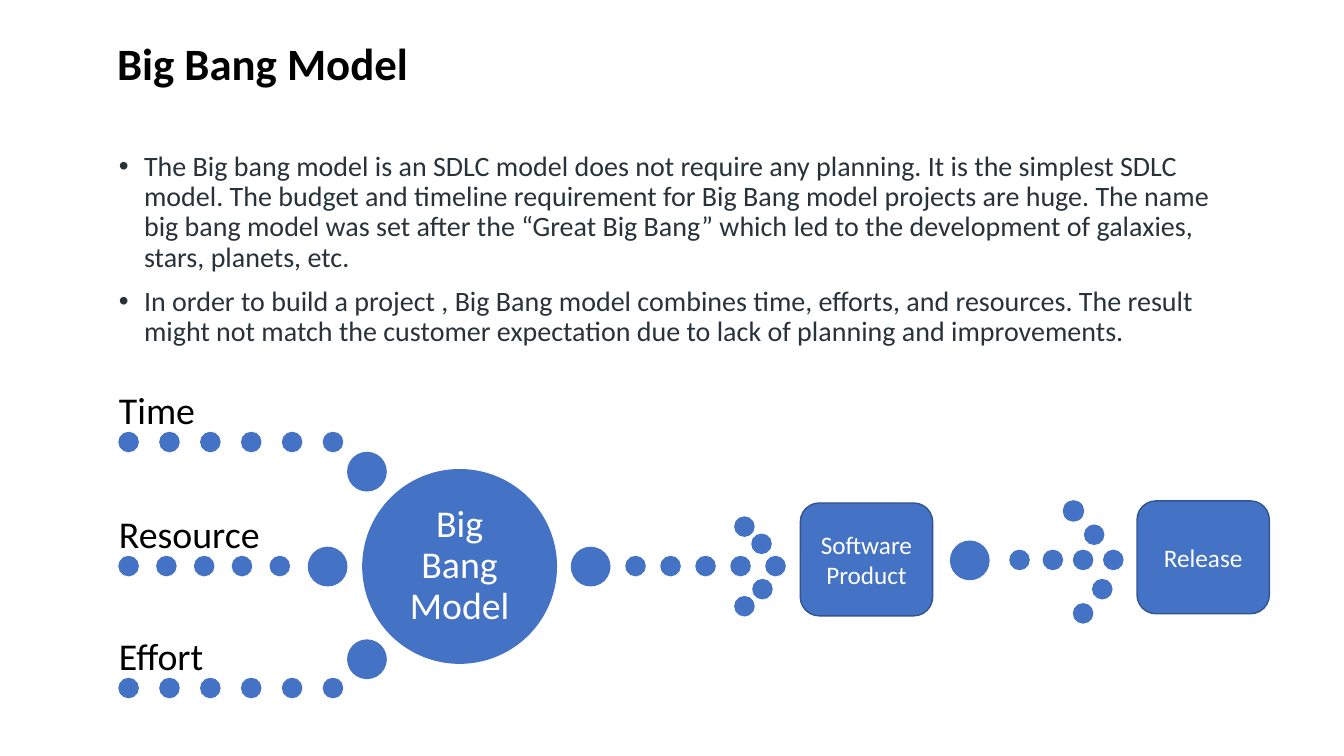
"""Build the Big Bang Model slide."""
from lxml import etree
from pptx import Presentation
from pptx.dml.color import RGBColor
from pptx.enum.shapes import MSO_SHAPE
from pptx.enum.text import MSO_ANCHOR, PP_ALIGN
from pptx.oxml.ns import qn
from pptx.util import Pt

OVAL = MSO_SHAPE.OVAL
ROUNDED = MSO_SHAPE.ROUNDED_RECTANGLE
TOP, MIDDLE, BOTTOM = MSO_ANCHOR.TOP, MSO_ANCHOR.MIDDLE, MSO_ANCHOR.BOTTOM
LEFT, CENTER = PP_ALIGN.LEFT, PP_ALIGN.CENTER

BODY = [
    "The Big bang model is an SDLC model does not require any planning. "
    "It is the simplest SDLC model. The budget and timeline requirement for "
    "Big Bang model projects are huge. The name big bang model was set after "
    "the “Great Big Bang” which led to the development of galaxies, stars, "
    "planets, etc.",
    "In order to build a project , Big Bang model combines time, efforts, and "
    "resources. The result might not match the customer expectation due to "
    "lack of planning and improvements.",
]
INPUTS = [
    ("Time", 308.9, 6, 29.2, (248.4, 323.2)),
    ("Resource", 397.5, 5, 27, (220.3, 391)),
    ("Effort", 484.6, 6, 29.2, (248.4, 457.2)),
]
PRODUCT_ARROWHEAD = [(524.9, 369.3), (537.1, 381.6), (537.8, 414), (524.9, 426.2)]
RELEASE_ARROWHEAD = [(774.7, 375.1), (780.5, 414), (766.8, 431.3)]
RELEASE_DOTS = [721.4, 745.2, 766.8, 788.4]


def color(value):
    return RGBColor.from_string(value)


class SlideBuilder:
    font = "Calibri"
    blue = "4472C4"
    outline = "325491"
    white = "FFFFFF"
    black = "000000"
    dot_size = 13.7
    big_dot_size = 27.4

    def __init__(self, slide):
        self.slide = slide

    def fill_text(self, shape, texts, size, text_color, anchor=MIDDLE, align=LEFT,
                  spacing=1.0, inset=None, bold=False, bullets=False):
        frame = shape.text_frame
        frame.word_wrap = True
        frame.vertical_anchor = anchor
        if inset is not None:
            frame.margin_left = frame.margin_right = Pt(inset)
            frame.margin_top = frame.margin_bottom = Pt(inset)
        for index, text in enumerate(texts):
            paragraph = frame.add_paragraph() if index else frame.paragraphs[0]
            paragraph.alignment = align
            paragraph.line_spacing = spacing
            if index:
                paragraph.space_before = Pt(10)
            if bullets:
                self.bullet(paragraph)
            run = paragraph.add_run()
            run.text = text
            run.font.name = self.font
            run.font.size = Pt(size)
            run.font.bold = bold
            run.font.color.rgb = color(text_color)

    def bullet(self, paragraph):
        properties = paragraph._p.get_or_add_pPr()
        properties.set("marL", str(Pt(18)))
        properties.set("indent", str(Pt(-18)))
        etree.SubElement(properties, qn("a:buFont")).set("typeface", "Arial")
        etree.SubElement(properties, qn("a:buChar")).set("char", "•")

    def text(self, left, top, width, height, texts, size, text_color, **style):
        box = self.slide.shapes.add_textbox(Pt(left), Pt(top), Pt(width), Pt(height))
        self.fill_text(box, texts, size, text_color, **style)

    def shape(self, kind, left, top, width, height, line):
        shape = self.slide.shapes.add_shape(
            kind, Pt(left), Pt(top), Pt(width), Pt(height))
        shape.shadow.inherit = False
        shape.fill.solid()
        shape.fill.fore_color.rgb = color(self.blue)
        shape.line.color.rgb = color(line)
        shape.line.width = Pt(1)
        return shape

    def dot(self, left, top, size=dot_size):
        self.shape(OVAL, left, top, size, size, self.blue)

    def big_dot(self, left, top):
        self.dot(left, top, self.big_dot_size)

    def dot_row(self, left, top, count, step):
        for index in range(count):
            self.dot(left + index * step, top)

    def hub(self, left, top, size, label):
        circle = self.shape(OVAL, left, top, size, size, self.blue)
        self.fill_text(circle, [label], 27, self.white, align=CENTER,
                       spacing=0.9, inset=3)

    def card(self, left, top, label):
        card = self.shape(ROUNDED, left, top, 94.5, 80.6, self.outline)
        self.fill_text(card, [label], 18, self.white, align=CENTER)


def main():
    presentation = Presentation()
    presentation.slide_width = Pt(960)
    presentation.slide_height = Pt(540)
    builder = SlideBuilder(presentation.slides.add_slide(presentation.slide_layouts[6]))

    builder.text(76.5, 13.7, 805.7, 66.2, ["Big Bang Model"], 32, builder.black,
                 spacing=0.9, bold=True)
    builder.text(77.8, 105.1, 810, 400.3, BODY, 20, "273239", anchor=TOP,
                 spacing=0.9, bullets=True)

    for label, top, count, step, big_dot in INPUTS:
        builder.text(85, top - 35.2, 160, 35.2, [label], 27, builder.black,
                     anchor=BOTTOM, spacing=0.9, inset=0)
        builder.dot_row(85, top, count, step)
        builder.big_dot(*big_dot)

    builder.hub(259.2, 335.5, 138.2, "Big Bang Model")

    builder.big_dot(408.2, 391)
    builder.dot_row(447.1, 397.5, 5, 25)
    for left, top in PRODUCT_ARROWHEAD:
        builder.dot(left, top)
    builder.card(571.7, 359.3, "Software Product")

    builder.big_dot(679, 386.6)
    for left in RELEASE_DOTS:
        builder.dot(left, 393.1)
    for left, top in RELEASE_ARROWHEAD:
        builder.dot(left, top)
    builder.dot(759.6, 357.8, 14.4)
    builder.card(812.2, 357.8, "Release")

    presentation.save("out.pptx")


if __name__ == "__main__":
    main()
